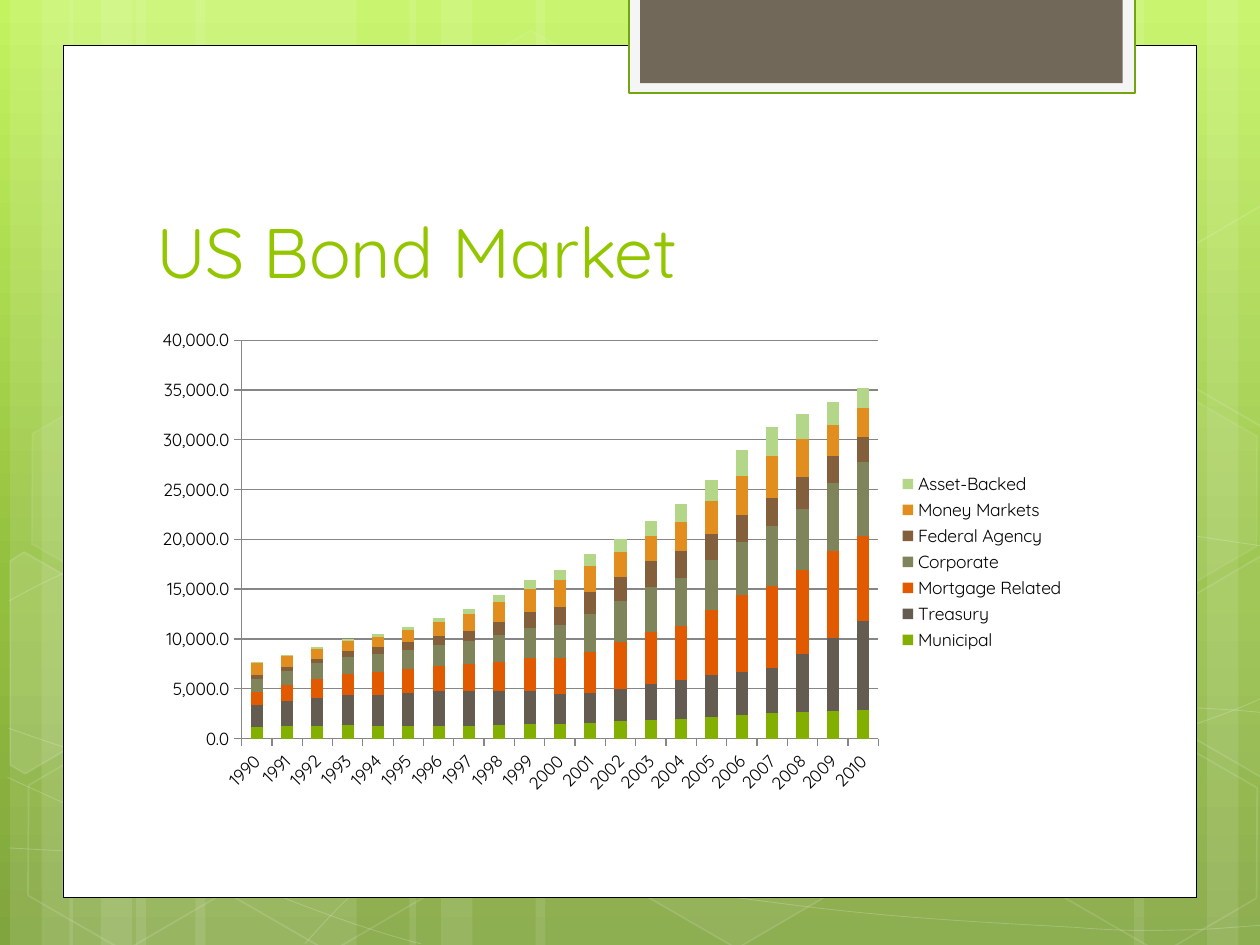
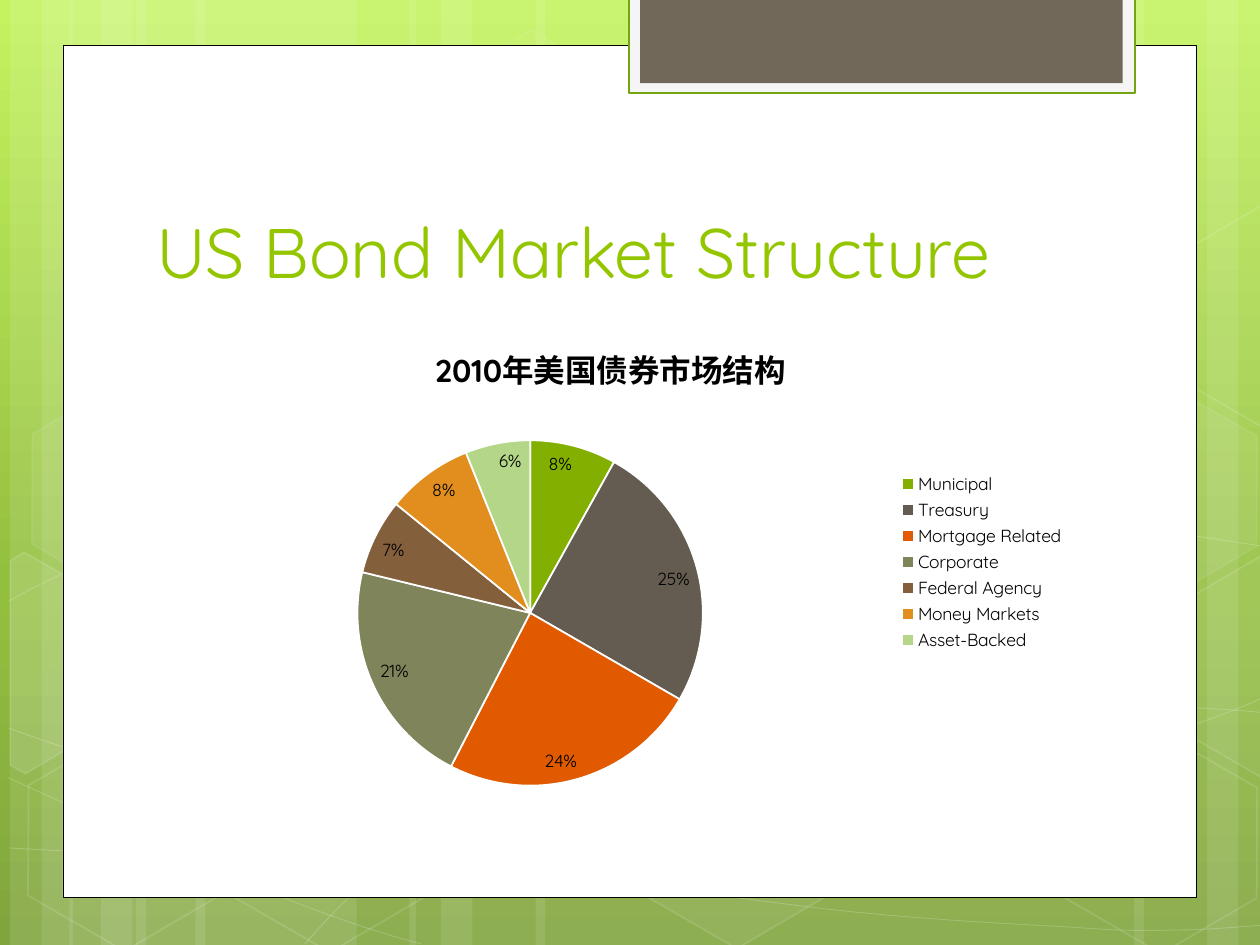
from math import cos, radians, sin

from lxml import etree
from pptx import Presentation
from pptx.chart.data import CategoryChartData as ChartData
from pptx.dml.color import RGBColor
from pptx.enum.chart import XL_CHART_TYPE as CT, XL_LABEL_POSITION as LP
from pptx.enum.chart import XL_LEGEND_POSITION as LEG, XL_TICK_MARK as TICK
from pptx.enum.shapes import MSO_SHAPE as SHAPE
from pptx.enum.text import MSO_ANCHOR as ANCHOR
from pptx.oxml.ns import qn
from pptx.util import Inches, Pt

WHITE = RGBColor(0xFF, 0xFF, 0xFF)
BLACK = RGBColor(0, 0, 0)
LIME = RGBColor(0x94, 0xC6, 0x00)
LEAF = RGBColor(0x74, 0xA5, 0x10)
TAUPE = RGBColor(0x71, 0x68, 0x5A)
PALE = RGBColor(0xF5, 0xF5, 0xF5)
GRID = RGBColor(0x86, 0x86, 0x86)
SKY = [(0, RGBColor(0xC3, 0xF3, 0x5F)), (62, RGBColor(0x93, 0xBF, 0x3F)),
       (100, RGBColor(0x81, 0xA5, 0x3E))]
PALETTE = [RGBColor(0x82, 0xAF, 0x00), RGBColor(0x64, 0x5C, 0x50),
           RGBColor(0xE1, 0x5A, 0x00), RGBColor(0x80, 0x84, 0x5A),
           RGBColor(0x84, 0x5F, 0x3C), RGBColor(0xE1, 0x8E, 0x1E),
           RGBColor(0xB4, 0xD6, 0x88)]
FONT = "Quicksand"
COLS, ROWS = 10, 7.5
TILT = 30
FINE = 1000

STRIPES = [(1.08, 1.75), (0.08, 0.5), (0.33, 0.83), (1.55, 1.75), (0.55, 0.5),
           (0.8, 0.83), (7.33, 1.75), (9.58, 0.5), (9, 0.83), (4.25, 3.08),
           (3.25, 0.5), (3.5, 0.83)]
CURVES = [
    [(0.07, 6.73), (0.61, 6.76), (1.15, 6.79), (1.9, 6.78), (2.65, 6.77),
     (3.58, 6.75), (4.58, 6.65), (5.58, 6.55), (7, 6.36), (7.92, 6.17),
     (8.83, 5.98), (9.77, 5.68), (10.07, 5.51)],
    [(0.07, 4.77), (0.36, 4.61), (0.65, 4.46), (1.21, 4.31), (1.78, 4.16),
     (2.59, 3.94), (3.47, 3.87), (4.36, 3.8), (5.44, 3.79), (6.54, 3.87),
     (7.64, 3.95), (9.47, 4.26), (10.07, 4.34)],
    [(0.06, 6.17), (1.27, 6.72), (2.47, 7.27), (3.34, 7.49)],
    [(0.07, 5.78), (0.38, 5.89), (0.7, 6), (1.28, 6.16), (1.86, 6.31),
     (2.73, 6.56), (3.57, 6.73), (4.4, 6.9), (5.45, 7.08), (6.28, 7.18),
     (7.11, 7.29), (8, 7.33), (8.53, 7.36), (9.05, 7.4), (9.19, 7.38),
     (9.45, 7.38), (9.71, 7.37), (9.89, 7.35), (10.07, 7.34)],
    [(2.42, 7.49), (2.6, 7.29), (2.78, 7.09), (3.02, 6.91), (3.26, 6.73),
     (3.6, 6.53), (3.88, 6.39), (4.16, 6.25), (4.33, 6.19), (4.7, 6.09),
     (5.06, 5.99), (5.73, 5.85), (6.08, 5.78), (6.44, 5.71), (6.49, 5.71),
     (6.8, 5.69), (7.11, 5.66), (7.6, 5.63), (7.94, 5.62), (8.29, 5.61),
     (8.86, 5.62), (8.86, 5.62), (9.08, 5.62), (9.31, 5.62), (9.53, 5.62),
     (9.71, 5.63), (9.88, 5.64), (10.06, 5.66)],
]
HEXAGONS = [(3.34, 0.36, 4, 8), (4.97, 5.89, 6, 12), (0.11, 5.91, 0, 12),
            (0.14, 3.12, 7, 8), (1.74, 5.92, 0, 12), (8.34, 5.93, 0, 12),
            (8.34, 3.14, 7, 8)]
CUT_HEXAGONS = [
    ([(0.08, 4.45), (0.19, 4.38), (0.96, 4.82), (0.95, 5.7), (0.2, 6.14),
      (0.08, 6.07)], (0.36, 5.35), 10),
    ([(9.26, 4.85), (10.01, 4.41), (10.09, 4.46), (10.09, 6.13),
      (10.02, 6.17), (9.26, 5.73)], (9.85, 5.2), 4),
    ([(9.26, 2.07), (10.01, 1.63), (10.1, 1.68), (10.09, 3.35),
      (10.02, 3.39), (9.26, 2.95)], (9.85, 2.41), 0),
]

YEARS = [str(y) for y in range(1990, 2011)]
BONDS = {
    "Municipal": [1200, 1300, 1300, 1400, 1300, 1300, 1300, 1300, 1400, 1500, 1500,
                  1600, 1800, 1900, 2000, 2200, 2400, 2600, 2700, 2800, 2900],
    "Treasury": [2200, 2500, 2800, 3000, 3100, 3300, 3500, 3500, 3400, 3300, 3000,
                 3000, 3200, 3600, 3900, 4200, 4300, 4500, 5800, 7300, 8900],
    "Mortgage Related": [1300, 1600, 1900, 2100, 2300, 2400, 2500, 2700, 2900, 3300,
                         3600, 4100, 4700, 5200, 5400, 6500, 7700, 8200, 8400, 8700,
                         8500],
    "Corporate": [1300, 1400, 1600, 1700, 1800, 1900, 2100, 2300, 2700, 3000, 3300,
                  3800, 4100, 4500, 4800, 5000, 5300, 6000, 6200, 6900, 7500],
    "Federal Agency": [400, 400, 400, 600, 700, 800, 900, 1000, 1300, 1600, 1800,
                       2200, 2400, 2600, 2700, 2600, 2700, 2900, 3200, 2700, 2500],
    "Money Markets": [1200, 1100, 1000, 1000, 1000, 1200, 1400, 1700, 2000, 2300,
                      2700, 2600, 2500, 2500, 2900, 3400, 4000, 4200, 3800, 3100,
                      2900],
    "Asset-Backed": [100, 100, 200, 200, 300, 300, 400, 500, 700, 900, 1000,
                     1200, 1300, 1500, 1800, 2100, 2600, 2900, 2500, 2300, 2000],
}
SHARES = [8, 25, 24, 21, 7, 8, 6]


def untilt(pts, centre):
    c, s = cos(radians(TILT)), sin(radians(TILT))
    cx, cy = centre
    return [(cx + (x - cx) * c + (y - cy) * s, cy - (x - cx) * s + (y - cy) * c)
            for x, y in pts]


class Deck:
    def __init__(self):
        self.prs = Presentation()
        self.prs.slide_width, self.prs.slide_height = Inches(10), Inches(7.5)
        self.col = self.prs.slide_width / COLS
        self.row = self.prs.slide_height / ROWS

    def box(self, x, y, w, h):
        return (round(x * self.col), round(y * self.row),
                round(w * self.col), round(h * self.row))

    def paint(self, fmt, color, alpha):
        fmt.solid()
        fmt.fore_color.rgb = color
        if alpha < 100:
            clr = fmt._xPr.find(qn("a:solidFill"))[0]
            etree.SubElement(clr, qn("a:alpha")).set("val", str(alpha * 1000))

    def style(self, sp, fill=None, alpha=100, line=None, width=1, line_alpha=100):
        sp.shadow.inherit = False
        if fill is not None and alpha:
            self.paint(sp.fill, fill, alpha)
        else:
            sp.fill.background()
        if line is not None:
            sp.line.width = Pt(width)
            self.paint(sp.line.fill, line, line_alpha)
        else:
            sp.line.fill.background()
        return sp

    def shape(self, kind, at, **look):
        return self.style(self.s.shapes.add_shape(kind, *self.box(*at)), **look)

    def outline(self, pts, close, **look):
        pts = [(round(x * FINE), round(y * FINE)) for x, y in pts]
        fb = self.s.shapes.build_freeform(*pts[0], scale=(self.col / FINE, self.row / FINE))
        fb.add_line_segments(pts[1:], close=close)
        return self.style(fb.convert_to_shape(), **look)

    def curve(self, pts, **look):
        sp = self.outline(pts, False, **look)
        path = sp._element.find(".//" + qn("a:path"))
        lines = path.findall(qn("a:lnTo"))
        for i in range(0, len(lines), 3):
            bez = etree.SubElement(path, qn("a:cubicBezTo"))
            for ln in lines[i:i + 3]:
                bez.append(ln[0])
                path.remove(ln)

    def background(self):
        self.s.background.fill.gradient()
        grad = self.s.background._cSld.find(".//" + qn("a:gradFill"))
        stops = grad.find(qn("a:gsLst"))
        for old in list(stops):
            stops.remove(old)
        for pos, color in SKY:
            gs = etree.SubElement(stops, qn("a:gs"), pos=str(pos * 1000))
            etree.SubElement(gs, qn("a:srgbClr"), val=str(color))
        lin = grad.find(qn("a:lin"))
        lin.set("ang", "5400000")
        lin.set("scaled", "0")

    def slide(self, title):
        self.s = self.prs.slides.add_slide(self.prs.slide_layouts[6])
        self.background()
        for x, w in STRIPES:
            self.shape(SHAPE.RECTANGLE, (x, 0, w, ROWS), fill=WHITE, alpha=10)
        for pts in CURVES:
            self.curve(pts, line=WHITE, width=0.5, line_alpha=20)
        for x, y, alpha, edge in HEXAGONS:
            sp = self.shape(SHAPE.HEXAGON, (x, y, 1.75, 1.52), fill=WHITE,
                            alpha=alpha, line=WHITE, line_alpha=edge)
            sp.adjustments[0] = 0.285
            sp.rotation = TILT
        for pts, centre, alpha in CUT_HEXAGONS:
            sp = self.outline(untilt(pts, centre), True, fill=WHITE, alpha=alpha,
                              line=WHITE, line_alpha=12)
            sp.rotation = TILT
        self.shape(SHAPE.RECTANGLE, (0.5, 0.36, 9, 6.76), fill=WHITE,
                   line=BLACK, width=0.5)
        self.shape(SHAPE.RECTANGLE, (4.99, -0.02, 4.02, 0.76), fill=PALE,
                   line=LEAF, width=1.25)
        self.shape(SHAPE.RECTANGLE, (5.08, -0.02, 3.83, 0.68), fill=TAUPE)
        self.title(title)

    def title(self, text):
        tf = self.s.shapes.add_textbox(*self.box(1.14, 1.12, 7.68, 1.25)).text_frame
        tf.word_wrap = True
        tf.vertical_anchor = ANCHOR.BOTTOM
        self.run(tf.paragraphs[0], text, 40, LIME)

    def run(self, p, text, size, color, bold=False):
        r = p.add_run()
        r.text = text
        r.font.name, r.font.size, r.font.bold = FONT, Pt(size), bold
        r.font.color.rgb = color

    def chart(self, kind, cats, series):
        data = ChartData(number_format="#,##0.0")
        data.categories = cats
        for name, vals in series.items():
            data.add_series(name, vals)
        ch = self.s.shapes.add_chart(kind, *self.box(1.14, 2.54, 7.41, 3.84), data).chart
        ch.font.name, ch.font.size = FONT, Pt(10)
        ch.font.color.rgb = BLACK
        ch.has_title = False
        ch.has_legend = True
        ch.legend.position = LEG.RIGHT
        ch.legend.include_in_layout = False
        return ch

    def place_plot(self, ch, x, y, w, h):
        area = ch._chartSpace.chart.plotArea
        for old in area.findall(qn("c:layout")):
            area.remove(old)
        layout = etree.Element(qn("c:layout"))
        area.insert(0, layout)
        manual = etree.SubElement(layout, qn("c:manualLayout"))
        for tag, val in (("layoutTarget", "inner"), ("xMode", "edge"), ("yMode", "edge"),
                         ("x", x), ("y", y), ("w", w), ("h", h)):
            etree.SubElement(manual, qn("c:" + tag)).set("val", str(val))

    def stacked_columns(self, cats, series):
        ch = self.chart(CT.COLUMN_STACKED, cats, series)
        plot = ch.plots[0]
        plot.vary_by_categories = False
        plot.gap_width, plot.overlap = 150, 100
        for ser, color in zip(plot.series, PALETTE):
            self.paint(ser.format.fill, color, 100)
        for axis in (ch.category_axis, ch.value_axis):
            axis.major_tick_mark = TICK.OUTSIDE
            axis.format.line.color.rgb = GRID
        ch.category_axis.tick_labels.font.size = Pt(10)
        ch.category_axis._element.txPr.bodyPr.set("rot", "-2700000")
        val = ch.value_axis
        val.minimum_scale, val.maximum_scale, val.major_unit = 0, 40000, 5000
        val.tick_labels.number_format = "#,##0.0"
        val.tick_labels.number_format_is_linked = False
        val.major_gridlines.format.line.color.rgb = GRID

    def pie(self, title, cats, vals):
        ch = self.chart(CT.PIE, cats, {"Series 1": vals})
        ch.has_title = True
        self.run(ch.chart_title.text_frame.paragraphs[0], title, 18, BLACK, True)
        self.place_plot(ch, 0.229, 0.248, 0.37, 0.715)
        plot = ch.plots[0]
        plot.vary_by_categories = True
        for i, color in enumerate(PALETTE):
            fmt = plot.series[0].points[i].format
            self.paint(fmt.fill, color, 100)
            fmt.line.color.rgb = WHITE
            fmt.line.width = Pt(1)
        plot.has_data_labels = True
        dl = plot.data_labels
        dl.show_percentage, dl.show_value = True, False
        dl.number_format, dl.number_format_is_linked = "0%", False
        dl.position = LP.INSIDE_END


deck = Deck()
deck.slide("US Bond Market")
deck.stacked_columns(YEARS, BONDS)
deck.slide("US Bond Market Structure")
deck.pie("2010年美国债券市场结构", list(BONDS), SHARES)
deck.prs.save("out.pptx")
